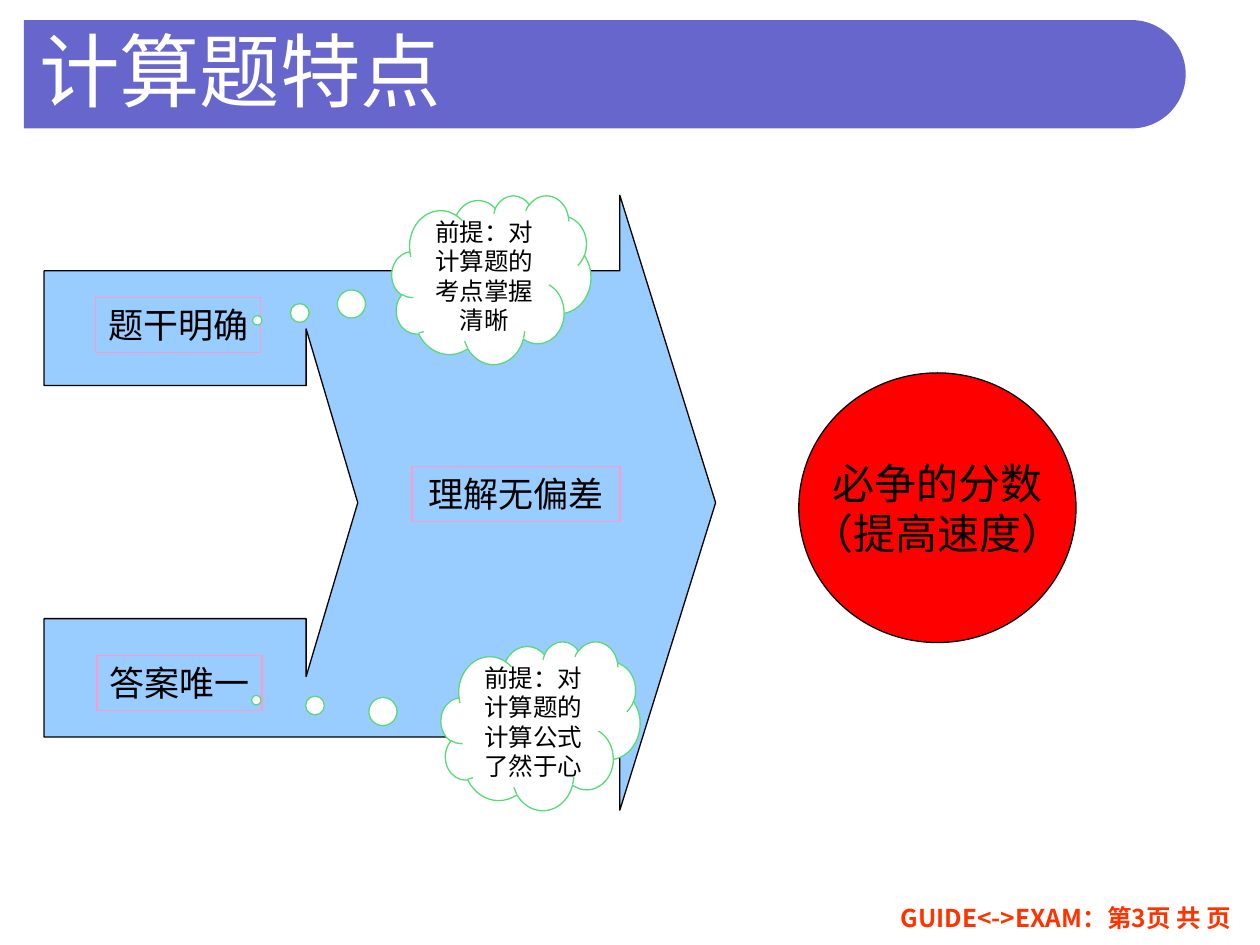
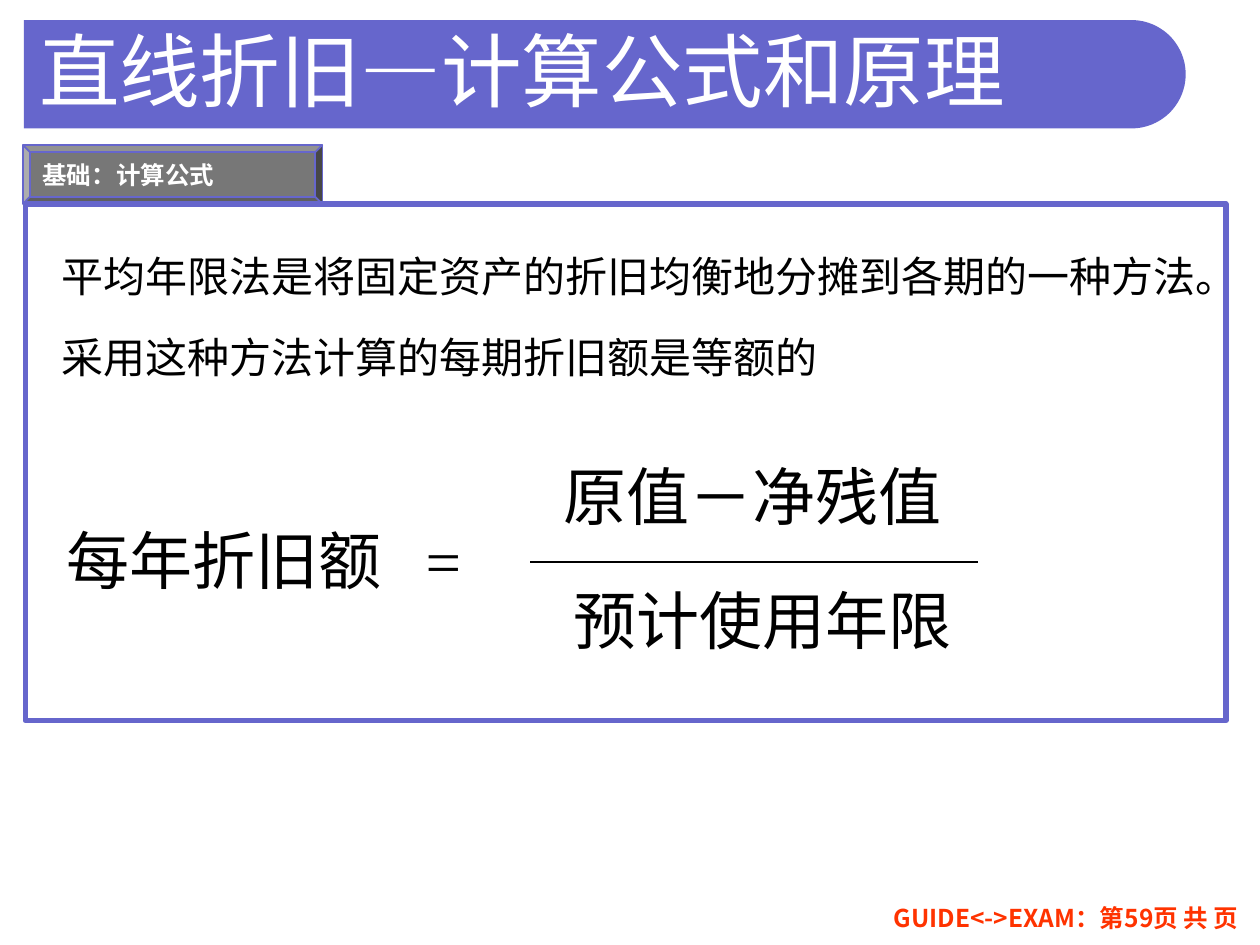
from math import cos, radians, sin

from lxml.etree import SubElement
from pptx import Presentation
from pptx.dml.color import RGBColor
from pptx.enum.lang import MSO_LANGUAGE_ID as LANG
from pptx.enum.shapes import MSO_CONNECTOR as CONN, MSO_SHAPE as SHAPE
from pptx.enum.text import MSO_ANCHOR as ANCHOR, MSO_AUTO_SIZE as FIT, PP_ALIGN as ALIGN
from pptx.oxml.ns import qn
from pptx.util import Emu, Pt

PX = 9144  # 100 px to the inch
COLORS = {
    "band": "6666CC", "footer": "FF3300", "arrow": "99CCFF", "label": "FF99CC",
    "score": "FF0000", "cloud": "58DA77", "tab": "777777",
    "white": "FFFFFF", "black": "000000",
}
SERIF, SANS, CJK = "Times New Roman", "Arial", "Noto Sans CJK KR"


def rgb(name):
    return RGBColor.from_string(COLORS[name])


def emu(*lengths):
    return [Emu(round(n * PX)) for n in lengths]


def write(sp, text, size=20, font=SERIF, color="black", bold=False, align=ALIGN.CENTER,
          anchor=ANCHOR.MIDDLE, wrap=True, spacing=None, gap=0, tab=None, east_asian=None):
    """Fill a shape with one paragraph per line; gap (pt) separates paragraphs."""
    tf = sp.text_frame
    tf.auto_size, tf.word_wrap, tf.vertical_anchor = FIT.NONE, wrap, anchor
    for i, line in enumerate(text.split("\n")):
        p = tf.add_paragraph() if i else tf.paragraphs[0]
        p.alignment = align
        if spacing:
            p.line_spacing = spacing
        if i and gap:
            p.space_before = Pt(gap)
        if tab:
            stops = SubElement(p._p.get_or_add_pPr(), qn("a:tabLst"))
            SubElement(stops, qn("a:tab"), pos=str(tab * PX), algn="l")
        r = p.add_run()
        r.text = line
        f = r.font
        f.name, f.size, f.bold = font, Pt(size), bold
        f.color.rgb = rgb(color)
        f.language_id = LANG.SIMPLIFIED_CHINESE
        if east_asian:
            SubElement(r._r.get_or_add_rPr(), qn("a:ea"), typeface=east_asian)


class Deck:
    def __init__(self):
        self.prs = Presentation()
        self.prs.slide_width, self.prs.slide_height = emu(1000, 750)
        self.s = None

    def slide(self, title, page):
        self.s = self.prs.slides.add_slide(self.prs.slide_layouts[5])
        sp = self.s.shapes.title
        sp.left, sp.top, sp.width, sp.height = emu(21, 5, 936, 100)
        write(sp, title, size=46, font=SANS, color="white", align=ALIGN.LEFT)
        sp._element.addprevious(self.band()._element)
        self.text((657, 712, 378, 39), f"GUIDE<->EXAM：第{page}页 共 页", size=14, font=CJK,
                  color="footer", bold=True, anchor=ANCHOR.TOP, wrap=False, east_asian=CJK)

    def band(self):
        """Title band with a half-round right end."""
        x, y, radius = 898, 59, 43
        end = [(x + radius * cos(radians(a)), y + radius * sin(radians(a)))
               for a in range(-90, 91, 3)]
        return self.outline([(19, y - radius), *end, (19, y + radius)], "band")

    def style(self, sp, fill=None, line=None, weight=0.75):
        sp.shadow.inherit = False
        if fill:
            sp.fill.solid()
            sp.fill.fore_color.rgb = rgb(fill)
        else:
            sp.fill.background()
        if line:
            sp.line.color.rgb = rgb(line)
            sp.line.width = Pt(weight)
        else:
            sp.line.fill.background()
        return sp

    def outline(self, points, fill, line=None):
        start, *rest = [emu(*point) for point in points]
        fb = self.s.shapes.build_freeform(*start)
        fb.add_line_segments(rest, close=True)
        return self.style(fb.convert_to_shape(), fill, line)

    def shape(self, kind, box, text=None, fill=None, line=None, weight=0.75, adj=(), **fmt):
        sp = self.style(self.s.shapes.add_shape(kind, *emu(*box)), fill, line, weight)
        for i, value in enumerate(adj):
            sp.adjustments[i] = value
        if text:
            write(sp, text, **fmt)
        return sp

    def text(self, box, text, **fmt):
        write(self.s.shapes.add_textbox(*emu(*box)), text, **fmt)

    def line(self, x1, y1, x2, y2, color="black", weight=0.75):
        c = self.s.shapes.add_connector(CONN.STRAIGHT, *emu(x1, y1, x2, y2))
        c.line.color.rgb = rgb(color)
        c.line.width = Pt(weight)
        SubElement(c._element.spPr, qn("a:effectLst"))


def features_slide(d):
    d.slide("计算题特点", 3)
    d.outline([(492, 215), (35, 215), (35, 306), (243, 306), (243, 261), (284, 399),
               (243, 537), (243, 491), (35, 491), (35, 585), (492, 585), (492, 643),
               (568, 399), (492, 155)], "arrow", "black")
    for x, y, w, label in ((76, 236, 131, "题干明确"), (77, 520, 131, "答案唯一"),
                           (327, 370, 165, "理解无偏差")):
        d.shape(SHAPE.RECTANGLE, (x, y, w, 44), label, line="label",
                anchor=ANCHOR.TOP, wrap=False)
    d.shape(SHAPE.OVAL, (634, 296, 220, 214), "必争的分数\n（提高速度）",
            fill="score", line="black", size=24, wrap=False)
    for x, y, adj, topic in ((311, 155, (-1.176, 0.241), "考点掌握清晰"),
                             (350, 509, (-1.428, -0.151), "计算公式了然于心")):
        d.shape(SHAPE.CLOUD_CALLOUT, (x, y, 158, 134), f"前提：对计算题的{topic}",
                fill="white", line="cloud", adj=adj, size=14)


def depreciation_slide(d):
    d.slide("直线折旧—计算公式和原理", 59)
    d.shape(SHAPE.BEVEL, (18, 115, 238, 47), "基础：计算公式", fill="tab", line="band", weight=1,
            size=14, font=CJK, color="white", bold=True, align=ALIGN.LEFT, wrap=False)
    d.shape(SHAPE.RECTANGLE, (20, 162, 953, 410), fill="white", line="band", weight=3)
    d.text((39, 202, 965, 106),
           "平均年限法是将固定资产的折旧均衡地分摊到各期的一种方法。\n"
           "采用这种方法计算的每期折旧额是等额的",
           size=24, align=ALIGN.LEFT, anchor=ANCHOR.TOP, spacing=0.8, gap=23)
    for box, term, tab in (((437, 375, 362, 47), "原值－净残值", None),
                           ((445, 470, 339, 55), "预计使用年限", None),
                           ((43, 414, 378, 71), "每年折旧额\t=", 285)):
        d.shape(SHAPE.RECTANGLE, box, term, fill="white", size=36,
                align=ALIGN.LEFT, spacing=0.8, tab=tab)
    d.line(421, 446, 776, 446)


def main():
    d = Deck()
    features_slide(d)
    depreciation_slide(d)
    d.prs.save("out.pptx")


if __name__ == "__main__":
    main()
